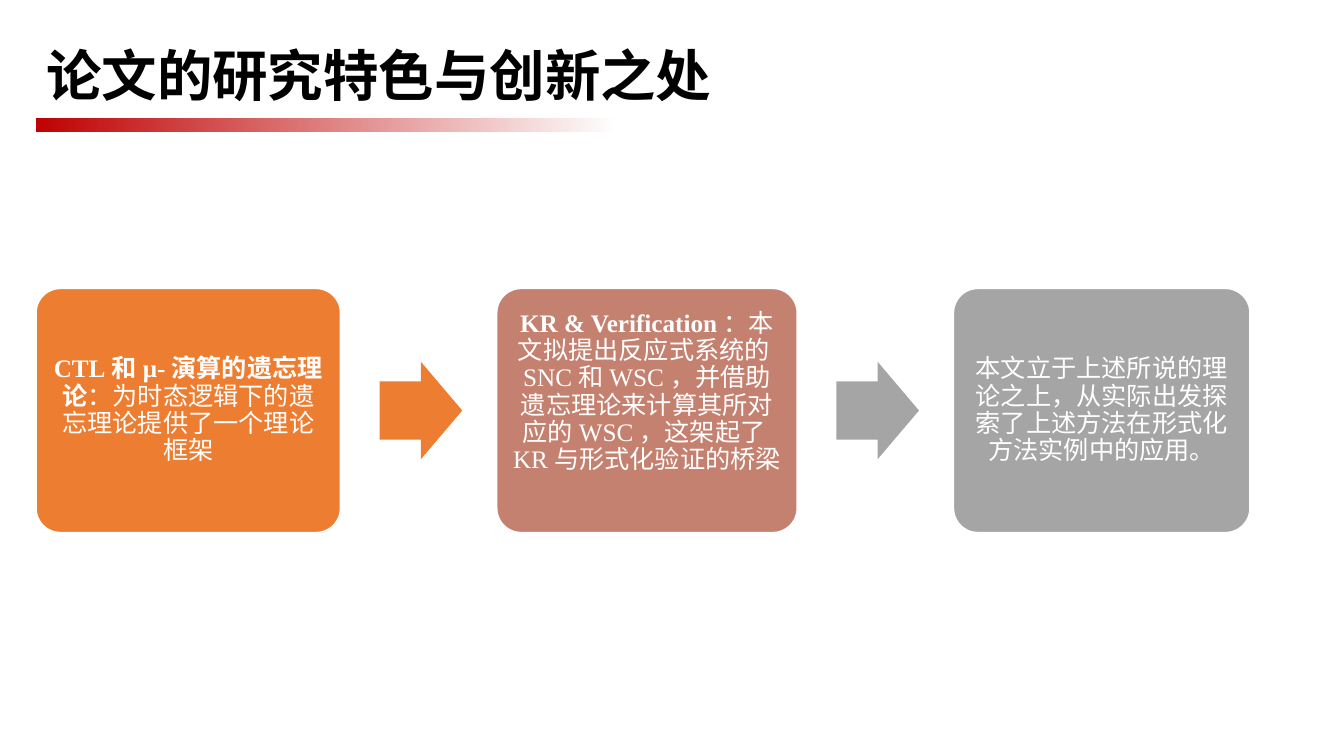
import pptx
import pptx.util
import pptx.dml.color
import pptx.enum.shapes
import pptx.enum.text
import pptx.oxml
import pptx.oxml.ns

Cm = pptx.util.Cm
Pt = pptx.util.Pt
RGBColor = pptx.dml.color.RGBColor
MSO_SHAPE = pptx.enum.shapes.MSO_SHAPE
PP_ALIGN = pptx.enum.text.PP_ALIGN
MSO_ANCHOR = pptx.enum.text.MSO_ANCHOR

BLACK = RGBColor(0x00, 0x00, 0x00)
WHITE = RGBColor(0xFF, 0xFF, 0xFF)
RED = RGBColor(0xC0, 0x00, 0x00)
ORANGE = RGBColor(0xED, 0x7D, 0x31)
ROSE = RGBColor(0xC4, 0x81, 0x70)
GREY = RGBColor(0xA5, 0xA5, 0xA5)

CJK_FONT = "Noto Sans CJK SC"
LATIN_FONT = "Times New Roman"

TITLE = "论文的研究特色与创新之处"

# Per step: width in cm, bottom inset in cm, fill, colour of the arrow that follows, (text, bold) runs
STEPS = [
    (7.67, 0.18, ORANGE, ORANGE, [
        ("CTL和μ-演算的遗忘理论", True),
        ("：为时态逻辑下的遗忘理论提供了一个理论框架", False),
    ]),
    (7.57, 1.1, ROSE, GREY, [
        ("KR & Verification", True),
        ("：本文拟提出反应式系统的SNC和WSC，并借助遗忘理论来计算其所对应的WSC，"
         "这架起了KR与形式化验证的桥梁", False),
    ]),
    (7.47, 0.18, GREY, None, [
        ("本文立于上述所说的理论之上，从实际出发探索了上述方法在形式化方法实例中的应用。", False),
    ]),
]

LEFT = 0.91
BOX_TOP, BOX_HEIGHT = 7.27, 6.15
ARROW_WIDTH, ARROW_HEIGHT = 2.08, 2.45
GAP_BEFORE_ARROW, GAP_AFTER_ARROW = 0.99, 0.87
INSET = 0.18


def add_run(paragraph, text, size, font_name, color, bold):
    run = paragraph.add_run()
    run.text = text
    run.font.size = Pt(size)
    run.font.name = font_name
    run.font.bold = bold
    run.font.color.rgb = color
    east_asian = pptx.oxml.parse_xml(
        f'<a:ea {pptx.oxml.ns.nsdecls("a")} typeface="{CJK_FONT}"/>')
    run.font._element.find(pptx.oxml.ns.qn("a:latin")).addnext(east_asian)


def add_plain_shape(slide, kind, left, top, width, height):
    shape = slide.shapes.add_shape(kind, Cm(left), Cm(top), Cm(width), Cm(height))
    shape.shadow.inherit = False
    shape.line.fill.background()
    return shape


def add_title(slide):
    title = slide.shapes.title
    title.left, title.top, title.width, title.height = Cm(LEFT), Cm(1.02), Cm(32.05), Cm(1.93)
    frame = title.text_frame
    frame.auto_size = pptx.enum.text.MSO_AUTO_SIZE.NONE
    frame.vertical_anchor = MSO_ANCHOR.MIDDLE
    paragraph = frame.paragraphs[0]
    paragraph.alignment = PP_ALIGN.LEFT
    paragraph.line_spacing = 0.9
    add_run(paragraph, TITLE, 39.6, CJK_FONT, BLACK, True)


def add_fading_bar(slide):
    bar = add_plain_shape(slide, MSO_SHAPE.RECTANGLE, LEFT, 3, 14.6, 0.31)
    bar.fill.gradient()
    bar.fill.gradient_angle = 0
    for stop, position in zip(bar.fill.gradient_stops, (0, 1)):
        stop.color.rgb = RED
        stop.position = position
    end_color = bar._element.findall(".//" + pptx.oxml.ns.qn("a:srgbClr"))[-1]
    end_color.append(pptx.oxml.parse_xml(
        f'<a:alpha {pptx.oxml.ns.nsdecls("a")} val="0"/>'))


def add_step(slide, left, width, bottom_inset, color, runs):
    box = add_plain_shape(slide, MSO_SHAPE.ROUNDED_RECTANGLE, left, BOX_TOP, width, BOX_HEIGHT)
    box.adjustments[0] = 0.1
    box.fill.solid()
    box.fill.fore_color.rgb = color
    box.line.color.rgb = WHITE
    box.line.width = Pt(1)
    frame = box.text_frame
    frame.word_wrap = True
    frame.vertical_anchor = MSO_ANCHOR.MIDDLE
    frame.margin_left = frame.margin_right = frame.margin_top = Cm(INSET)
    frame.margin_bottom = Cm(bottom_inset)
    paragraph = frame.paragraphs[0]
    paragraph.alignment = PP_ALIGN.CENTER
    paragraph.line_spacing = 0.9
    for text, bold in runs:
        add_run(paragraph, text, 18, LATIN_FONT, WHITE, bold)


def add_arrow(slide, left, color):
    top = BOX_TOP + (BOX_HEIGHT - ARROW_HEIGHT) / 2
    arrow = add_plain_shape(slide, MSO_SHAPE.RIGHT_ARROW, left, top, ARROW_WIDTH, ARROW_HEIGHT)
    arrow.adjustments[0] = 0.6
    arrow.adjustments[1] = 0.5
    arrow.fill.solid()
    arrow.fill.fore_color.rgb = color


def main():
    presentation = pptx.Presentation()
    presentation.slide_width, presentation.slide_height = Cm(33.87), Cm(19.05)
    slide = presentation.slides.add_slide(presentation.slide_layouts[5])
    add_title(slide)
    add_fading_bar(slide)
    left = LEFT
    for width, bottom_inset, color, arrow_color, runs in STEPS:
        add_step(slide, left, width, bottom_inset, color, runs)
        left += width + GAP_BEFORE_ARROW
        if arrow_color is not None:
            add_arrow(slide, left, arrow_color)
            left += ARROW_WIDTH + GAP_AFTER_ARROW
    presentation.save("out.pptx")


if __name__ == "__main__":
    main()
